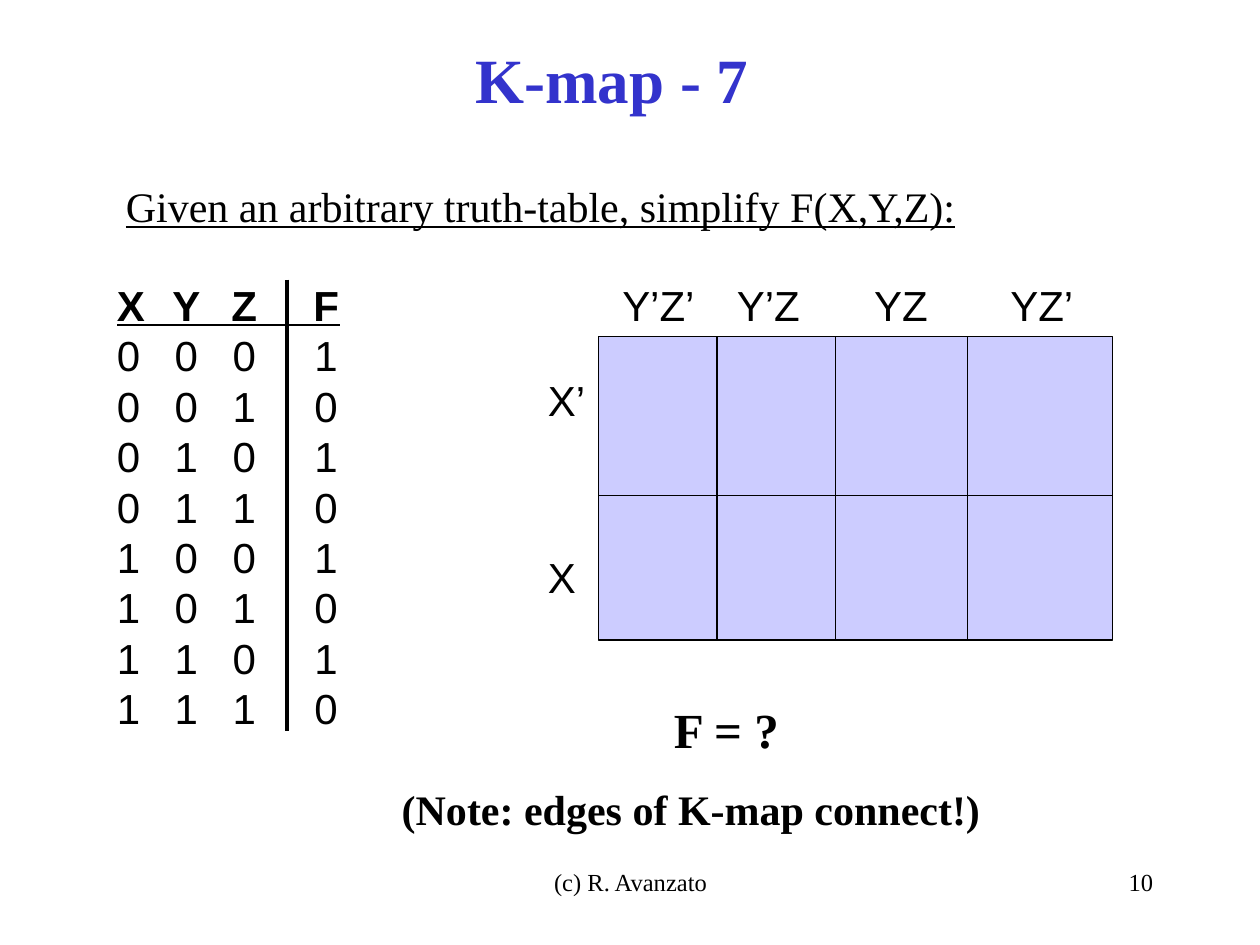
from itertools import product

from lxml import etree
from pptx import Presentation
from pptx import util as u
from pptx.dml.color import RGBColor
from pptx.enum import shapes, text
from pptx.oxml.ns import qn

SERIF, SANS = "Times New Roman", "Arial"
LEFT, CENTER, RIGHT = text.PP_ALIGN.LEFT, text.PP_ALIGN.CENTER, text.PP_ALIGN.RIGHT
color = RGBColor.from_string

presentation = Presentation()
presentation.slide_width, presentation.slide_height = u.Inches(10), u.Inches(7.5)
slide = presentation.slides.add_slide(presentation.slide_layouts[6])


def add_text(lines, box, size, name=SERIF, align=LEFT, wrap=False, ink="000000", **font_format):
    """Add a text box with one paragraph per line; font_format holds further font attributes."""
    shape = slide.shapes.add_textbox(*map(u.Inches, box))
    frame = shape.text_frame
    frame.word_wrap = wrap
    if not wrap:
        frame.auto_size = text.MSO_AUTO_SIZE.SHAPE_TO_FIT_TEXT
    frame.text = "\n".join(lines)
    for paragraph in frame.paragraphs:
        paragraph.alignment = align
        font = paragraph.runs[0].font
        font.color.rgb = color(ink)
        for key, value in dict(size=u.Pt(size), name=name, **font_format).items():
            setattr(font, key, value)
    return frame


def add_line(x1, y1, x2, y2, width):
    line = slide.shapes.add_connector(
        shapes.MSO_CONNECTOR.STRAIGHT, *map(u.Inches, (x1, y1, x2, y2)))
    line.line.color.rgb = color("000000")
    line.line.width = u.Pt(width)
    etree.SubElement(line._element.spPr, qn("a:effectLst"))


# Footer, title and task
add_text(["(c) R. Avanzato"], (3.42, 6.83, 3.17, 0.5), 14, align=CENTER, wrap=True)
add_text(["10"], (7.17, 6.83, 2.08, 0.5), 14, align=RIGHT, wrap=True)
title = add_text(["K-map - 7 "], (0.67, 0, 8.5, 1.25), 36,
                 align=CENTER, wrap=True, ink="3333CC", bold=True)
title.vertical_anchor = text.MSO_ANCHOR.MIDDLE
add_text(["Given an arbitrary truth-table, simplify F(X,Y,Z):"],
         (0.9, 1.38, 6.85, 0.5), 24, underline=True)

# Truth table: F is 1 where Z is 0
rows = ["X\tY\tZ\tF"]
rows += [f"{x}\t{y}\t{z}\t{1 - z}" for x, y, z in product((0, 1), repeat=3)]
truth_table = add_text(rows, (0.83, 2.17, 1.98, 3.7), 24, SANS)
for paragraph in truth_table.paragraphs:
    tab_list = etree.SubElement(paragraph._p.get_or_add_pPr(), qn("a:tabLst"))
    for position in (0.55, 1.01, 1.66):
        etree.SubElement(tab_list, qn("a:tab"), pos=str(u.Inches(position)), algn="ctr")
truth_table.paragraphs[0].runs[0].font.bold = True
add_line(0.93, 2.58, 2.7, 2.58, 1.5)
add_line(2.28, 2.22, 2.28, 5.8, 2.25)

# Karnaugh map
left, top, right, bottom = 4.75, 2.67, 8.83, 5.08
k_map = slide.shapes.add_shape(
    shapes.MSO_SHAPE.RECTANGLE,
    *map(u.Inches, (left, top, right - left, bottom - top)))
k_map.shadow.inherit = False
k_map.fill.solid()
k_map.fill.fore_color.rgb = color("CCCCFF")
k_map.line.color.rgb = color("000000")
k_map.line.width = u.Pt(0.75)
add_line(left, 3.93, right, 3.93, 0.75)
for x in (5.69, 6.63, 7.68):
    add_line(x, top, x, bottom, 0.75)

for label, x, y, width in (
    ("Y’Z’", 4.84, 2.17, 0.82),
    ("Y’Z", 5.75, 2.17, 0.75),
    ("YZ", 6.84, 2.17, 0.67),
    ("YZ’", 7.92, 2.17, 0.75),
    ("X’", 4.25, 2.92, 0.54),
    ("X", 4.25, 4.33, 0.47),
):
    add_text([label], (x, y, width, 0.5), 24, SANS)

# Question and hint
add_text(["F = ?"], (5.25, 5.5, 1.06, 0.57), 28, bold=True)
add_text(["(Note: edges of K-map connect!)"], (3.09, 6.17, 4.8, 0.5), 24, bold=True)

presentation.save("out.pptx")
